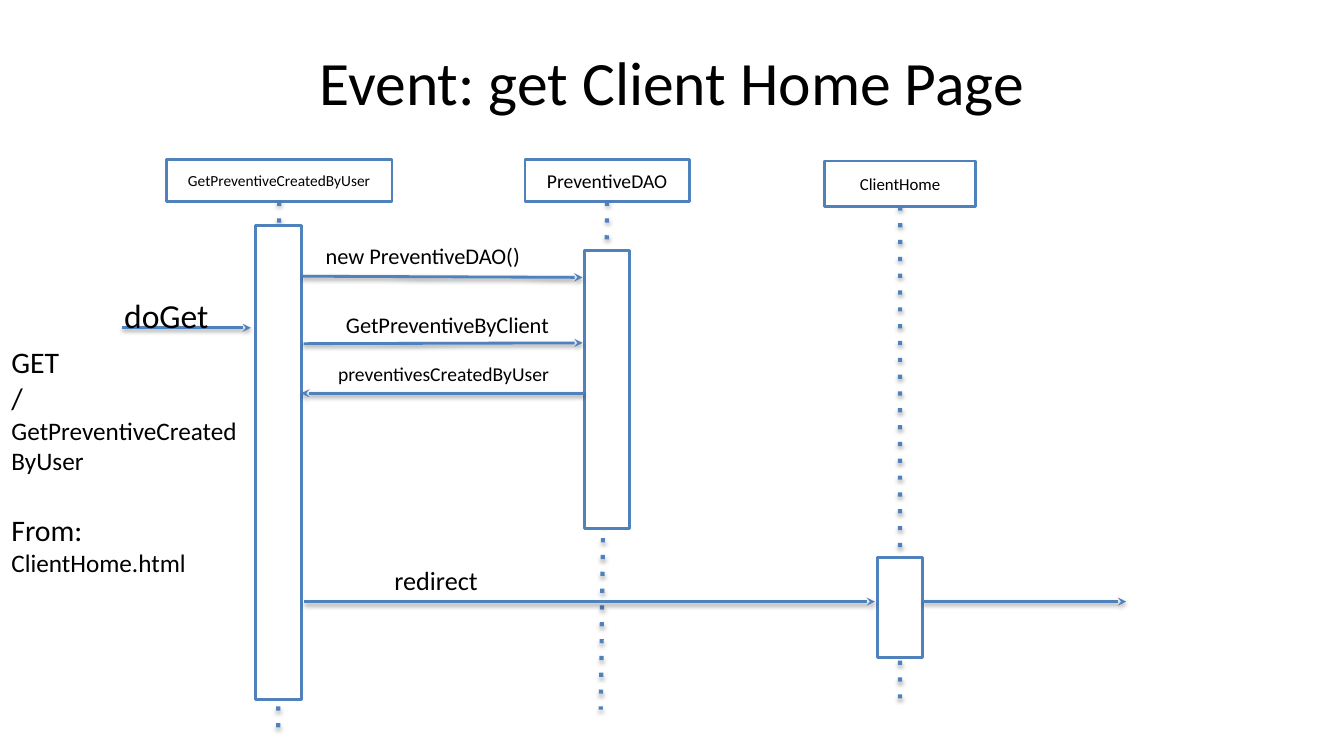
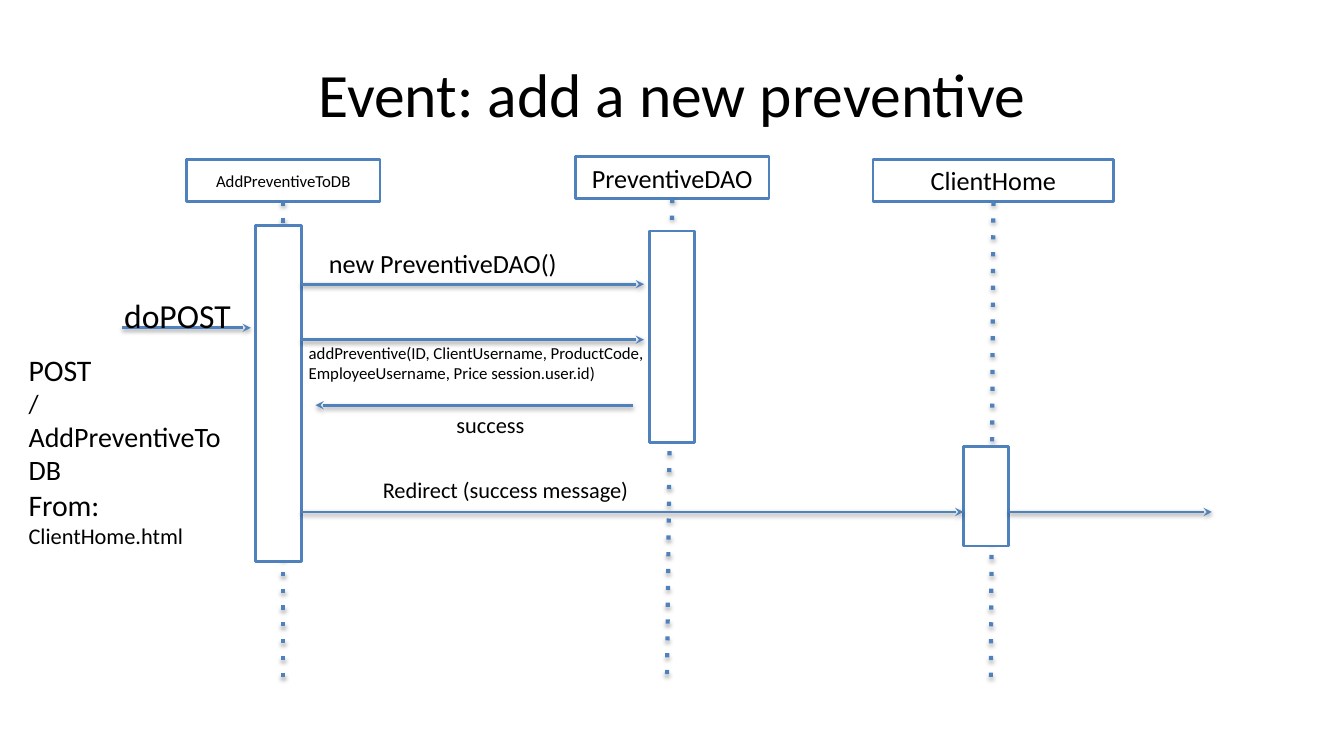
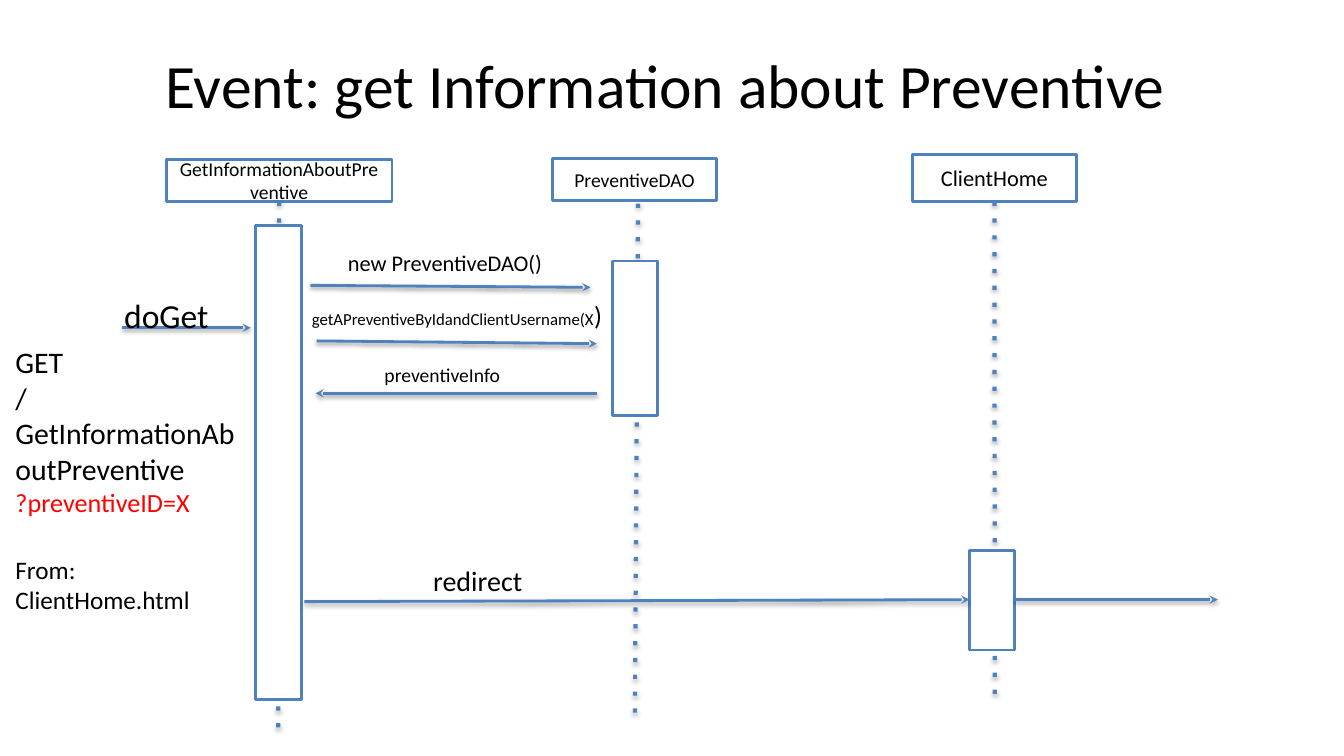
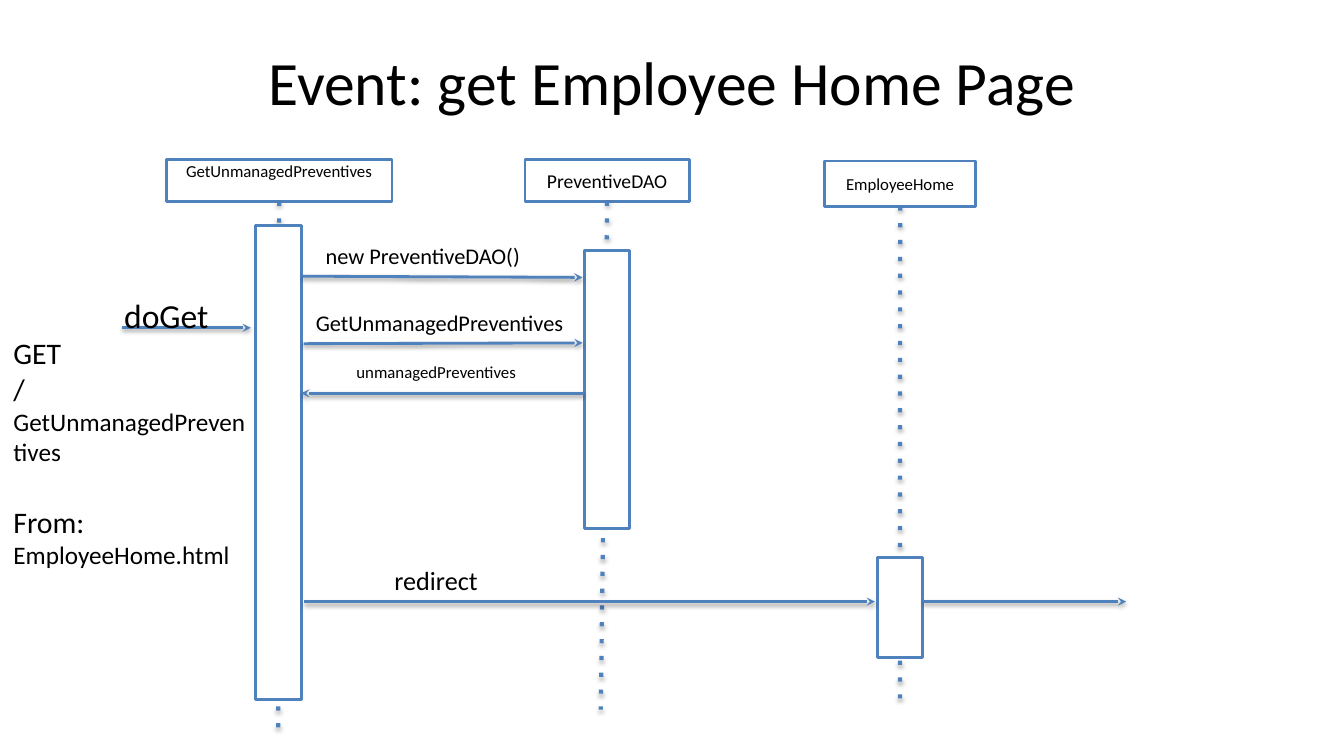
from lxml.etree import SubElement
from pptx import Presentation
from pptx.dml.color import RGBColor
from pptx.enum.shapes import MSO_CONNECTOR as CONN, MSO_SHAPE as SHAPE
from pptx.enum.text import MSO_ANCHOR as ANCHOR, PP_ALIGN as ALIGN
from pptx.oxml.ns import qn
from pptx.util import Cm, Pt

BLUE = RGBColor(0x4F, 0x81, 0xBD)
BLACK = RGBColor(0, 0, 0)
WHITE = RGBColor(255, 255, 255)
RED = RGBColor(255, 0, 0)
FONT = "Calibri"

BAR_W = 1.14       # width of an activation bar, cm
EXIT_LENGTH = 5.12  # arrow leaving the page's bar, cm
BODY = 21.3        # main size of the request text, pt
BLANK_LINE = 26    # gap before the "From:" part, pt


# Text
def set_text(tf, text, size=16, color=BLACK, align=ALIGN.LEFT,
             anchor=ANCHOR.TOP, inset_top=0.18, gaps=None):
    """Text is a string or a list of paragraphs, each a list of
    (text, size) or (text, size, color) runs; gaps maps index to space before."""
    tf.word_wrap = True
    tf.vertical_anchor = anchor
    tf.margin_left = tf.margin_right = Cm(0.34)
    tf.margin_top, tf.margin_bottom = Cm(inset_top), Cm(0.18)
    paragraphs = [[(text, size)]] if isinstance(text, str) else text
    for i, runs in enumerate(paragraphs):
        p = tf.add_paragraph() if i else tf.paragraphs[0]
        p.alignment = align
        if gaps and i in gaps:
            p.space_before = Pt(gaps[i])
        for words, points, *tint in runs:
            r = p.add_run()
            r.text = words
            r.font.name, r.font.size = FONT, Pt(points)
            r.font.color.rgb = tint[0] if tint else color


def add_text(s, box, text, **fmt):
    sp = s.shapes.add_textbox(*map(Cm, box))
    set_text(sp.text_frame, text, **fmt)


# Shapes and lines
def add_box(s, box):
    sp = s.shapes.add_shape(SHAPE.RECTANGLE, *map(Cm, box))
    sp.shadow.inherit = False
    sp.fill.solid()
    sp.fill.fore_color.rgb = WHITE
    sp.line.color.rgb = BLUE
    sp.line.width = Pt(2)
    return sp


def add_line(s, start, end, dotted=False):
    """A dotted lifeline, or else an arrow pointing at its end."""
    line = s.shapes.add_connector(CONN.STRAIGHT, *map(Cm, (*start, *end)))
    line.line.color.rgb = BLUE
    line.line.width = Pt(3 if dotted else 2)
    ln = line.line._get_or_add_ln()
    if dotted:
        SubElement(ln, qn("a:prstDash"), val="dot")
    else:
        SubElement(ln, qn("a:tailEnd"), type="stealth")
    # Soft shadow straight below
    effects = SubElement(line._element.spPr, qn("a:effectLst"))
    shadow = SubElement(effects, qn("a:outerShdw"), blurRad="40000",
                        dist="23000" if dotted else "20000",
                        dir="5400000", rotWithShape="0")
    tint = SubElement(shadow, qn("a:srgbClr"), val=str(BLACK))
    SubElement(tint, qn("a:alpha"), val="35000" if dotted else "38000")


# Parts of a sequence diagram
def add_title(s, text, height=2.57):
    add_text(s, (1.7, 0.76, 30.48, height), text, size=44,
             align=ALIGN.CENTER, anchor=ANCHOR.MIDDLE)


def add_lifeline(s, head, name, bar, foot, start=None, **fmt):
    """Head box, dotted line down to foot, and a bar given as x, y, height."""
    x, y, w, h = head
    fmt = {"align": ALIGN.CENTER, "anchor": ANCHOR.MIDDLE, **fmt}
    set_text(add_box(s, head).text_frame, name, **fmt)
    add_line(s, start or (x + w / 2, y + h), foot, dotted=True)
    bar_x, bar_y, bar_h = bar
    add_box(s, (bar_x, bar_y, BAR_W, bar_h))


def add_servlet(s, name, head=(4.19, 4.01, 5.69, 1.07), bar_height=11.94,
                foot=(7.01, 18.36), **fmt):
    add_lifeline(s, head, name, (6.45, 5.69, bar_height), foot, **fmt)


def add_page(s, head, name, bar, foot, exit_y, **fmt):
    """Lifeline of a page, with an arrow leaving its bar."""
    add_lifeline(s, head, name, bar, foot, **fmt)
    right = bar[0] + BAR_W
    add_line(s, (right, exit_y), (right + EXIT_LENGTH, exit_y))


def add_message(s, start, end, box, text, **fmt):
    add_line(s, start, end)
    add_text(s, box, text, **fmt)


def add_request(s, method, box, lines, **fmt):
    add_message(s, (3.07, 8.26), (6.32, 8.26), (2.79, 7.24, 3.4, 1.02),
                method, size=24)
    add_text(s, box, lines, **fmt)


# Slides
def home_page_slide(s, title, servlet, servlet_fmt, request_at, call, call_at,
                    result, result_box, result_fmt, page):
    add_title(s, title)
    add_servlet(s, servlet, **servlet_fmt)
    add_lifeline(s, (13.23, 4.01, 4.14, 1.07), "PreventiveDAO",
                 (14.73, 6.32, 6.99), (15.14, 17.88), size=14)
    add_page(s, (20.78, 4.06, 3.81, 1.14), page, (22.12, 14.05, 2.51),
             (22.68, 17.88), 15.16, size=12)
    add_request(s, "doGet", (*request_at, 6.63, 5.38),
                [[("GET", BODY)], [("/", BODY), (servlet, 18)],
                 [("From:", BODY)], [(page + ".html", 18)]],
                gaps={2: BLANK_LINE})
    add_message(s, (7.62, 6.96), (14.68, 6.99), (7.87, 5.92, 5.97, 0.86),
                "new PreventiveDAO()")
    add_message(s, (7.65, 8.66), (14.68, 8.64), (*call_at, 7.49, 0.94), call)
    add_message(s, (14.71, 9.91), (7.59, 9.91), result_box, result, **result_fmt)
    add_message(s, (7.67, 15.16), (22.05, 15.16), (9.6, 14.05, 6.91, 0.94),
                "redirect", size=18.7)


def client_home_slide(s):
    home_page_slide(
        s, "Event: get Client Home Page",
        "GetPreventiveCreatedByUser", {"size": 11}, (-0.05, 8.48),
        "GetPreventiveByClient", (8.38, 7.67),
        "preventivesCreatedByUser", (8.18, 8.94, 6.22, 0.79), {"size": 14},
        "ClientHome")


def employee_home_slide(s):
    home_page_slide(
        s, "Event: get Employee Home Page", "GetUnmanagedPreventives",
        {"size": 12, "anchor": ANCHOR.TOP, "inset_top": 0.05}, (0, 8.26),
        "GetUnmanagedPreventives", (7.62, 7.62),
        "unmanagedPreventives", (7.59, 8.94, 6.81, 0.79),
        {"size": 12, "align": ALIGN.CENTER},
        "EmployeeHome")


def add_preventive_slide(s):
    add_title(s, "Event: add a new preventive", 3.18)
    add_servlet(s, "AddPreventiveToDB", (4.7, 4.01, 4.88, 1.07), 8.46,
                (7.14, 17.15), size=12)
    add_lifeline(s, (14.5, 3.94, 4.88, 1.07), "PreventiveDAO",
                 (16.36, 5.82, 5.33), (16.81, 17.07), size=18.7)
    add_page(s, (22, 4.01, 6.07, 1.07), "ClientHome", (24.28, 11.25, 2.51),
             (24.97, 17.15), 12.9, size=18.7)
    add_request(s, "doPOST", (0.38, 8.69, 5.94, 8.46),
                [[("POST", BODY)], [("/", 18.7), ("AddPreventiveToDB", 20)],
                 [("From:", BODY)], [("ClientHome.html", 16)]])
    add_message(s, (7.59, 7.16), (16.23, 7.16), (7.95, 6.05, 9.93, 0.86),
                "new PreventiveDAO()", size=18.7)
    add_message(s, (7.59, 8.56), (16.23, 8.56), (7.44, 8.46, 9.58, 0.86),
                "addPreventive(ID, ClientUsername, ProductCode, "
                "EmployeeUsername, Price session.user.id)", size=12)
    add_message(s, (15.95, 10.21), (7.95, 10.21), (7.57, 10.19, 9.58, 0.86),
                "success", align=ALIGN.CENTER)
    add_message(s, (7.59, 12.9), (24.28, 12.9), (7.95, 11.81, 9.58, 1.17),
                "Redirect (success message)", align=ALIGN.CENTER)


def preventive_info_slide(s):
    add_title(s, "Event: get Information about Preventive ", 2.72)
    add_servlet(s, "GetInformationAboutPreventive", size=14)
    add_lifeline(s, (13.92, 3.99, 4.14, 1.07), "PreventiveDAO",
                 (15.44, 6.58, 3.89), (16, 18.01), start=(16.08, 5.13), size=14)
    add_page(s, (22.99, 3.89, 4.14, 1.19), "ClientHome", (24.43, 13.87, 2.51),
             (25.07, 17.73), 15.11, size=16)
    add_request(s, "doGet", (0.05, 8.48, 6.53, 5.38),
                [[("GET", BODY)], [("/GetInformationAboutPreventive", BODY)],
                 [("?preventiveID=X", 18.7, RED)],
                 [("From:", 18)], [("ClientHome.html", 18)]],
                gaps={3: BLANK_LINE})
    add_message(s, (7.82, 7.19), (14.88, 7.24), (8.43, 6.1, 5.97, 0.86),
                "new PreventiveDAO()")
    add_message(s, (7.98, 8.59), (15.04, 8.66), (7.52, 7.37, 8.2, 1.04),
                [[("getAPreventiveByIdandClientUsername(X", 12), (")", 18.7)]])
    add_message(s, (15.04, 9.91), (7.95, 9.91), (9.35, 8.97, 4.78, 0.71),
                "preventiveInfo", size=14)
    add_message(s, (7.67, 15.16), (24.43, 15.11), (9.65, 14.02, 4.78, 0.71),
                "redirect", size=20, align=ALIGN.CENTER)


def main():
    prs = Presentation()
    prs.slide_width, prs.slide_height = Cm(33.87), Cm(19.05)
    for build in (client_home_slide, add_preventive_slide,
                  preventive_info_slide, employee_home_slide):
        build(prs.slides.add_slide(prs.slide_layouts[6]))
    prs.save("out.pptx")


if __name__ == "__main__":
    main()
